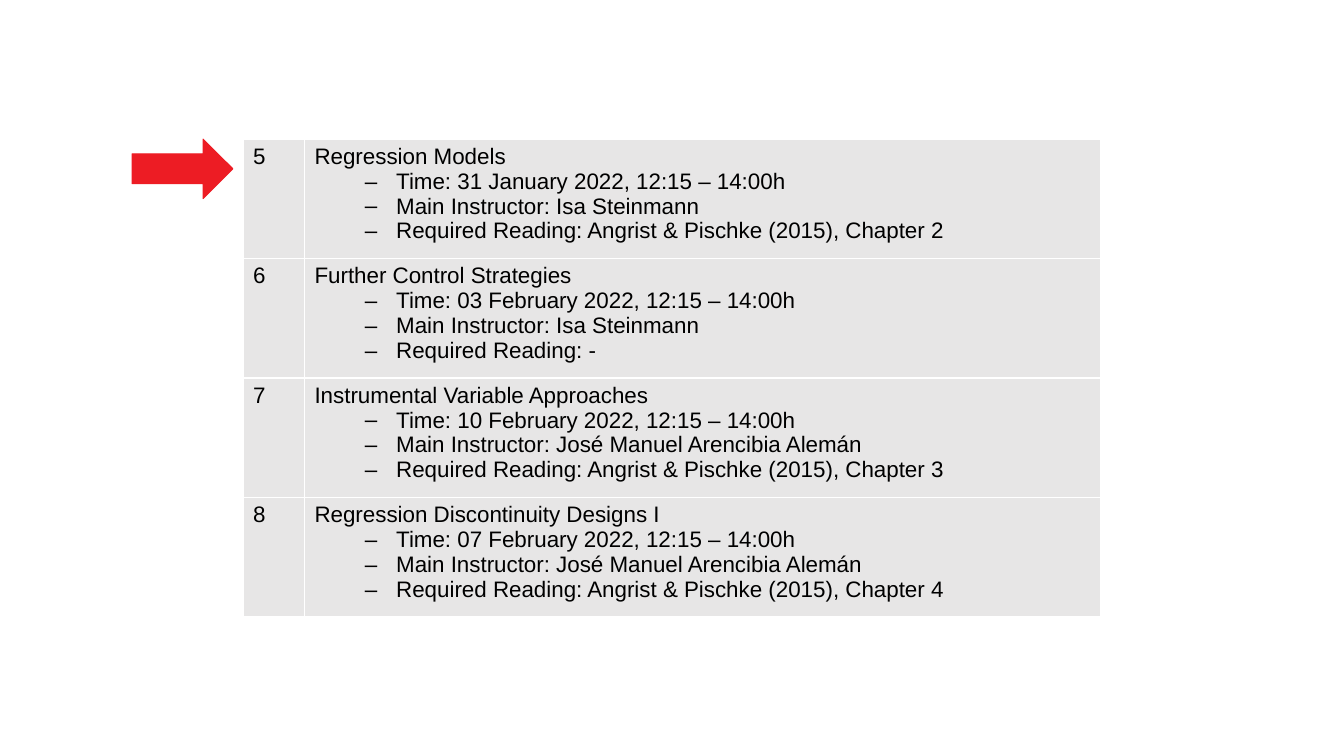
from pptx import Presentation, util as u
from pptx.dml import color
from pptx.enum import shapes
from pptx.oxml import ns
from lxml import etree

PX = 9144
FONT = {"name": "Arial", "size": u.Pt(16), "bold": False}
ROWS = [
    ("5", "Regression Models", "31 January", "Isa Steinmann",
     "Angrist & Pischke (2015), Chapter 2"),
    ("6", "Further Control Strategies", "03 February", "Isa Steinmann", "-"),
    ("7", "Instrumental Variable Approaches", "10 February",
     "José Manuel Arencibia Alemán", "Angrist & Pischke (2015), Chapter 3"),
    ("8", "Regression Discontinuity Designs I", "07 February",
     "José Manuel Arencibia Alemán", "Angrist & Pischke (2015), Chapter 4"),
]


def paint(fill, tone):
    """Give a fill one solid colour from a hex string."""
    fill.solid()
    fill.fore_color.rgb = color.RGBColor.from_string(tone)


def node(parent, tag, **attrs):
    """Add one drawing element with its attributes."""
    return etree.SubElement(parent, ns.qn("a:" + tag), attrs)


def border(cell, tone):
    """Draw a thin line on all four sides of a cell."""
    props = cell._tc.get_or_add_tcPr()
    for side in ("lnL", "lnR", "lnT", "lnB"):
        line = node(props, side, w=str(u.Pt(1)))
        node(node(line, "solidFill"), "srgbClr", val=tone)


def write(cell, lines):
    """Fill a cell with a heading and dashed lines below it."""
    border(cell, "FFFFFF")
    paint(cell.fill, "E7E6E6")
    frame = cell.text_frame
    for i, line in enumerate(lines):
        para = frame.add_paragraph() if i else frame.paragraphs[0]
        if i:
            para.level = 1
            props = para._p.get_or_add_pPr()
            props.set("marL", str(81 * PX))
            props.set("indent", str(-31 * PX))
            node(props, "buFont", typeface="Arial")
            node(props, "buChar", char="–")
        run = para.add_run()
        run.text = line
        for key, val in FONT.items():
            setattr(run.font, key, val)
        paint(run.font.fill, "000000")


def plan(slide, x, y, w, h):
    """Place the table of sessions in its box."""
    table = slide.shapes.add_table(
        len(ROWS), 2, x * PX, y * PX, w * PX, h * PX).table
    for flag in ("first_row", "horz_banding"):
        setattr(table, flag, False)
    for col, wide in zip(table.columns, (61, w - 61)):
        col.width = wide * PX
    for i, (num, title, day, name, text) in enumerate(ROWS):
        table.rows[i].height = h * PX // len(ROWS)
        write(table.cell(i, 0), [num])
        write(table.cell(i, 1), [
            title,
            f"Time: {day} 2022, 12:15 – 14:00h",
            f"Main Instructor: {name}",
            f"Required Reading: {text}",
        ])


def arrow(slide, x, y, w, h):
    """Place the red arrow that marks the current session."""
    mark = slide.shapes.add_shape(
        shapes.MSO_SHAPE.RIGHT_ARROW, x * PX, y * PX, w * PX, h * PX)
    mark.shadow.inherit = False
    paint(mark.fill, "ED1C24")
    paint(mark.line.fill, "ED1C24")
    mark.line.width = u.Pt(0.75)


def main():
    """Build the slide and save it."""
    deck = Presentation()
    deck.slide_width, deck.slide_height = 1333 * PX, 750 * PX
    slide = deck.slides.add_slide(deck.slide_layouts[6])
    arrow(slide, 131, 138, 100, 59)
    plan(slide, 241, 138, 851, 474)
    deck.save("out.pptx")


if __name__ == "__main__":
    main()
